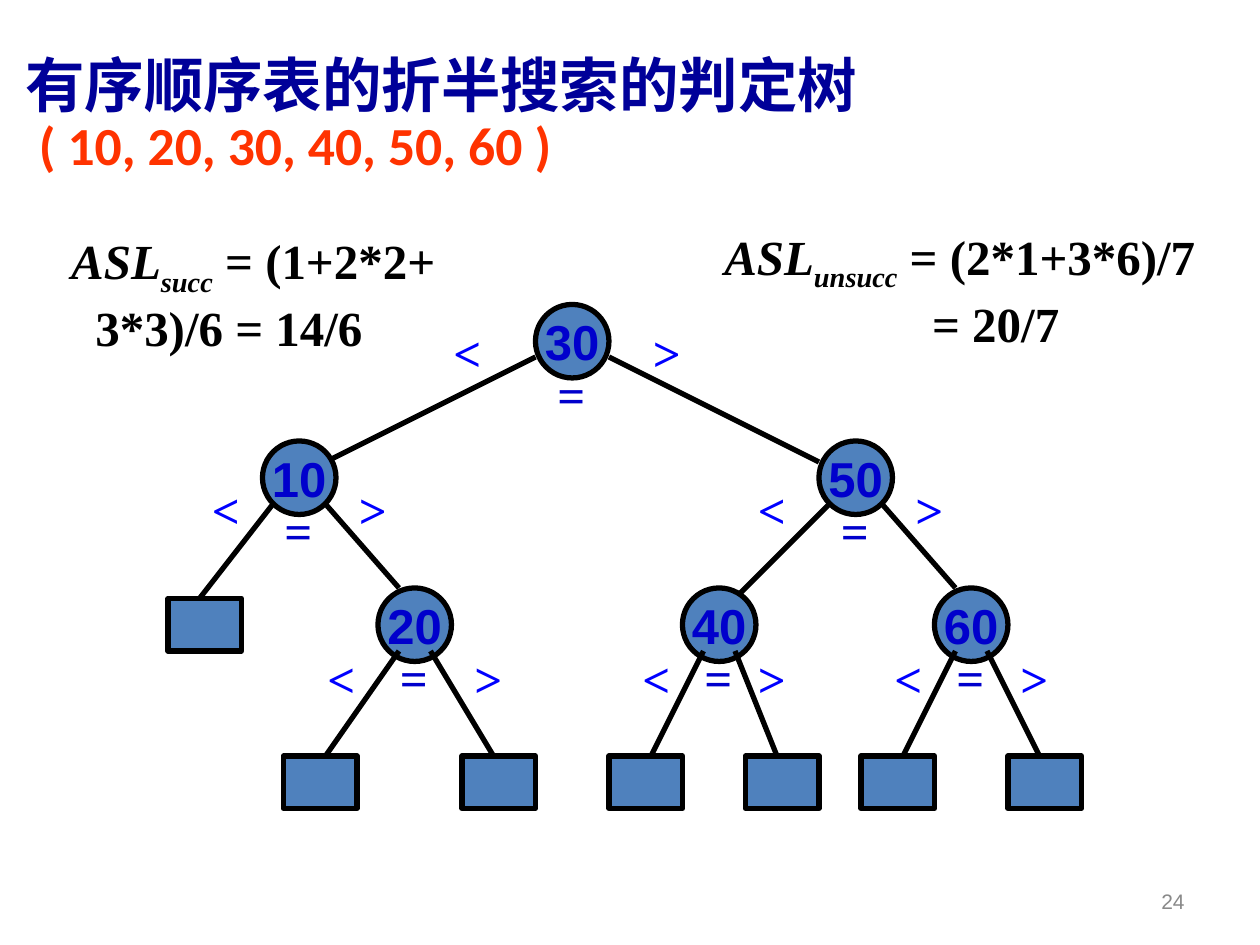
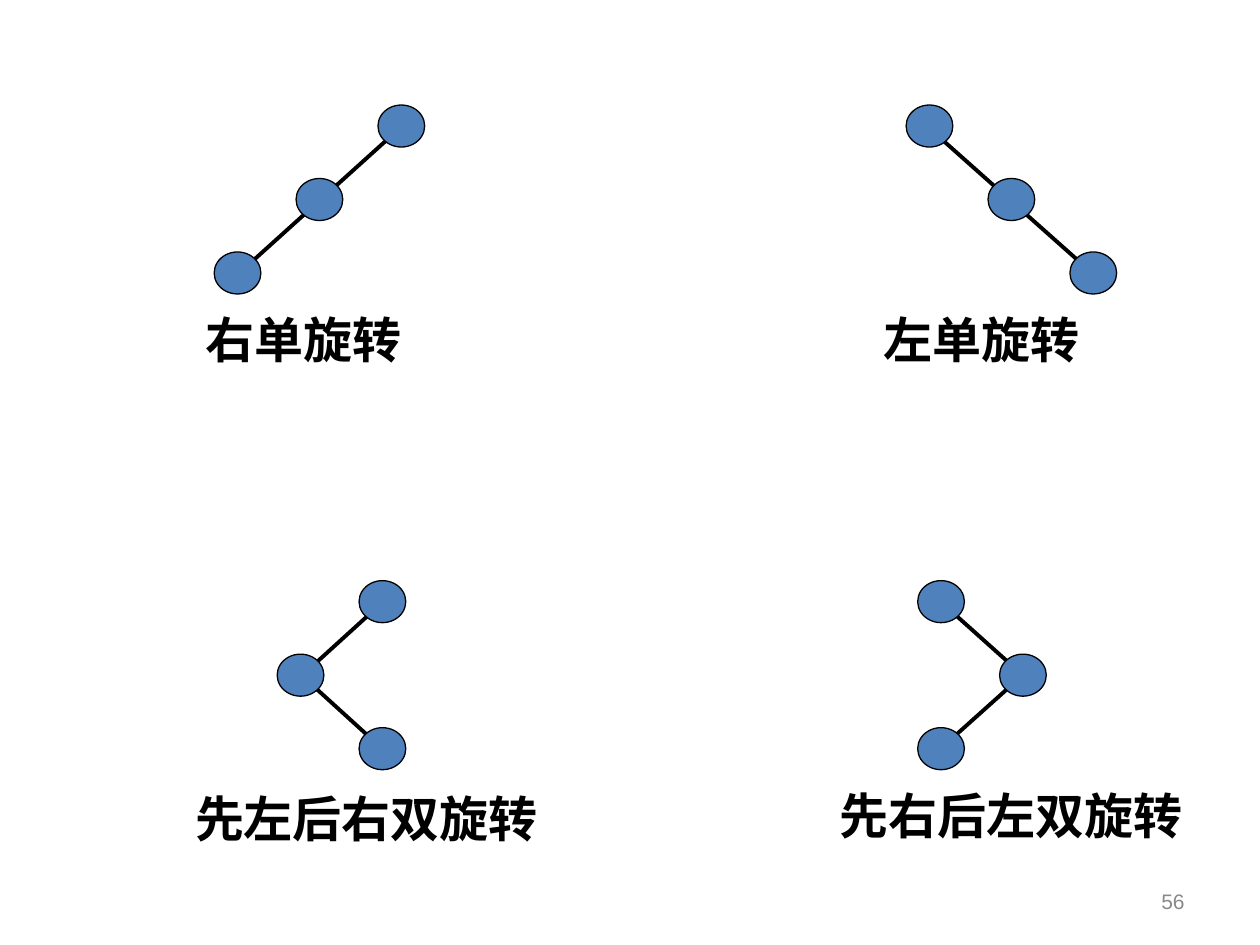
from lxml import etree
from pptx import Presentation
from pptx.dml.color import RGBColor
from pptx.enum.shapes import MSO_CONNECTOR, MSO_SHAPE
from pptx.enum.text import MSO_ANCHOR, MSO_AUTO_SIZE, PP_ALIGN
from pptx.oxml.ns import qn
from pptx.util import Emu, Inches, Pt

OVAL, RECT = MSO_SHAPE.OVAL, MSO_SHAPE.RECTANGLE
STRAIGHT = MSO_CONNECTOR.STRAIGHT
TOP, MIDDLE = MSO_ANCHOR.TOP, MSO_ANCHOR.MIDDLE
LEFT, CENTER, RIGHT = PP_ALIGN.LEFT, PP_ALIGN.CENTER, PP_ALIGN.RIGHT
NO_FIT = MSO_AUTO_SIZE.NONE

BLACK, NODE_FILL, NAVY, RED = "000000", "4F81BD", "000099", "FF3300"
KEY_BLUE, SIGN_BLUE, GREY = "0000CC", "0000FF", "898989"
SANS, SERIF, HEADING = "Arial", "Times New Roman", "Calibri"
COLUMNS, ROWS = 120, 90


def rgb(value):
    return RGBColor.from_string(value)


class Deck:
    def __init__(self):
        self.prs = Presentation()
        self.prs.slide_width, self.prs.slide_height = Inches(10), Inches(7.5)
        self.s = None

    def grid(self, x, y):
        return (Emu(round(self.prs.slide_width * x / COLUMNS)),
                Emu(round(self.prs.slide_height * y / ROWS)))

    def slide(self, layout, number):
        self.s = self.prs.slides.add_slide(self.prs.slide_layouts[layout])
        self.text(str(number), 86, 83.4, 28, 4.8, 12, GREY, SANS,
                  bold=False, align=RIGHT, anchor=MIDDLE)

    def style(self, p, size, color, font, bold=True, align=LEFT):
        p.alignment = align
        p.font.size, p.font.bold, p.font.name = Pt(size), bold, font
        p.font.color.rgb = rgb(color)

    def indent(self, p, columns):
        p._p.get_or_add_pPr().set("marL", str(self.grid(columns, 0)[0]))

    def title(self, lines):
        sp = self.s.shapes.title
        sp.left, sp.top = self.grid(0, 4.7)
        sp.width, sp.height = self.grid(98, 16)
        tf = sp.text_frame
        tf.auto_size, tf.vertical_anchor = NO_FIT, TOP
        tf.margin_left, tf.margin_top = Inches(0.2), Inches(0.1)
        for i, (text, size, color, indent, before) in enumerate(lines):
            p = tf.add_paragraph() if i else tf.paragraphs[0]
            p.add_run().text = text
            self.indent(p, indent)
            p.line_spacing, p.space_before = 0.8, Pt(before)
            self.style(p, size, color, HEADING)

    def text(self, text, x, y, w, h, size=28, color=BLACK, font=SERIF,
             bold=True, align=LEFT, anchor=TOP):
        sp = self.s.shapes.add_textbox(*self.grid(x, y), *self.grid(w, h))
        tf = sp.text_frame
        tf.word_wrap, tf.vertical_anchor = True, anchor
        p = tf.paragraphs[0]
        p.add_run().text = text
        self.style(p, size, color, font, bold, align)
        return tf

    def formula(self, subscript, first, second, indent, x, y, w):
        tf = self.text("ASL", x, y, w, 13.2)
        p = tf.paragraphs[0]
        p.runs[0].font.italic = True
        r = p.add_run()
        r.text, r.font.italic = subscript, True
        r._r.get_or_add_rPr().set("baseline", "-25000")
        p.add_run().text = first
        p = tf.add_paragraph()
        p.add_run().text = second
        self.indent(p, indent)
        self.style(p, 28, BLACK, SERIF)

    def shape(self, kind, x, y, w, h, weight, key=None):
        sp = self.s.shapes.add_shape(kind, *self.grid(x, y), *self.grid(w, h))
        sp.shadow.inherit = False
        sp.fill.solid()
        sp.fill.fore_color.rgb = rgb(NODE_FILL)
        sp.line.color.rgb = rgb(BLACK)
        sp.line.width = Pt(weight)
        if key:
            tf = sp.text_frame
            tf.word_wrap, tf.vertical_anchor = False, MIDDLE
            p = tf.paragraphs[0]
            p.add_run().text = key
            self.style(p, 28, KEY_BLUE, SANS, align=CENTER)

    def line(self, start, end, weight):
        c = self.s.shapes.add_connector(STRAIGHT, *self.grid(*start),
                                        *self.grid(*end))
        c.line.color.rgb = rgb(BLACK)
        c.line.width = Pt(weight)
        etree.SubElement(c._element.spPr, qn("a:effectLst"))

    def sign(self, text, x, y, color=SIGN_BLUE):
        self.text(text, x, y, 5, 6.8, color=color)


def decision_tree(deck):
    deck.slide(5, 24)
    deck.title([("有序顺序表的折半搜索的判定树", 34, NAVY, 0, 0),
                ("( 10, 20, 30, 40, 50, 60 )", 30.6, RED, 1.3, 3)])
    deck.formula("unsucc", " = (2*1+3*6)/7", "= 20/7", 19.8, 67.8, 21, 49)
    deck.formula("succ", " = (1+2*2+", "3*3)/6 = 14/6", 2.3, 5.6, 21.4, 38)

    level_tops, edge_drops, sign_drops = (29, 42, 56), (5, 6, 6), (1.1, 3.1, 5.2)
    nodes = [("30", 0, 51, (42, 61), ((31, 44), (78, 44))),
             ("10", 1, 25, (19, 33), ((19, 57), (38, 56))),
             ("50", 1, 78, (71, 86), ((70, 57), (91, 56))),
             ("20", 2, 36, (30, 44), ((31, 72), (47, 72))),
             ("40", 2, 65, (60, 71), ((62, 72), (74, 72))),
             ("60", 2, 89, (84, 96), ((86, 72), (99, 72)))]
    leaves = [(16, 57)] + [(x, 72) for x in (27, 44, 58, 71, 82, 96)]
    side = 7

    for x, y in leaves:
        deck.shape(RECT, x, y, side, 5, 3)
    for key, level, x, signs, ends in nodes:
        y = level_tops[level]
        deck.shape(OVAL, x, y, side, side, 3, key)
        deck.sign("=", x + 0.9, y + 5.1, KEY_BLUE)
        starts = (x + level, x + side - level)
        for sign, sign_x, start_x, end in zip("<>", signs, starts, ends):
            deck.line((start_x, y + edge_drops[level]), end, 3)
            deck.sign(sign, sign_x, y + sign_drops[level])


def rotations(deck):
    deck.slide(6, 56)
    step_x, step_y = 7.8, 7
    cases = [("右单旋转", 18.4, 28.9, 36, 10, (0, -1, -2),
              [((37.1, 13.1), (23.8, 25.1))]),
             ("左单旋转", 83, 28.9, 86.3, 10, (0, 1, 2),
              [((89.5, 13.1), (103, 25.1))]),
             ("先左后右双旋转", 17.4, 74.5, 34.2, 55.3, (0, -1, 0),
              [((29.8, 65.3), (36.4, 71.3)), ((29.8, 63.4), (36.4, 57.4))]),
             ("先右后左双旋转", 78.8, 74.2, 87.4, 55.3, (0, 1, 0),
              [((90.7, 70.3), (97.4, 64.3)), ((90.7, 58.3), (97.4, 64.3))])]
    for name, name_x, name_y, x, y, shifts, edges in cases:
        for start, end in edges:
            deck.line(start, end, 2.25)
        for row, shift in enumerate(shifts):
            deck.shape(OVAL, x + shift * step_x, y + row * step_y, 4.45, 4, 0.75)
        deck.text(name, name_x, name_y, 5 * len(name) + 2, 6.8)


def main():
    deck = Deck()
    decision_tree(deck)
    rotations(deck)
    deck.prs.save("out.pptx")


if __name__ == "__main__":
    main()
